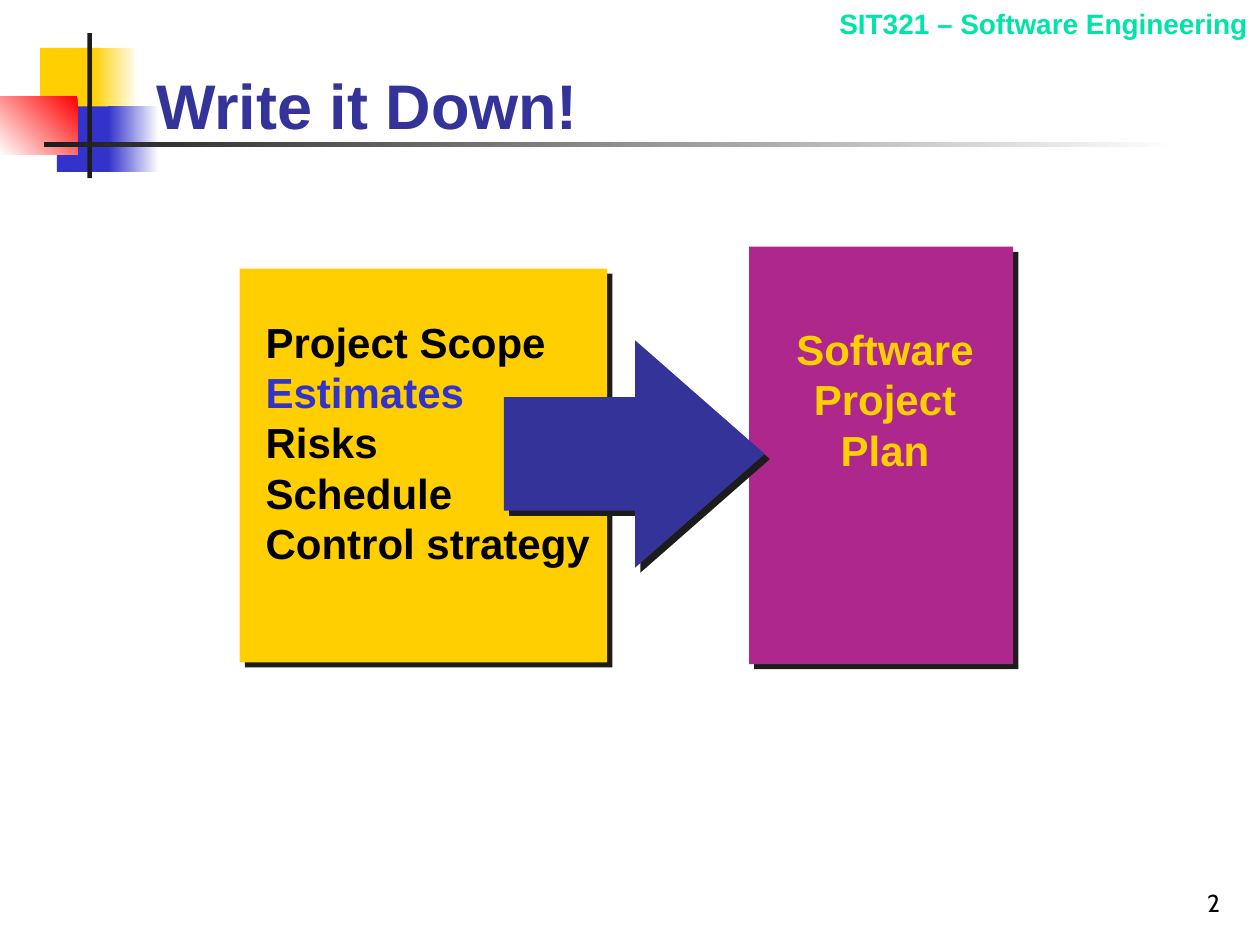
from dataclasses import dataclass

from lxml.etree import SubElement
from pptx import Presentation
from pptx.dml.color import RGBColor
from pptx.enum.shapes import MSO_SHAPE
from pptx.enum.text import MSO_ANCHOR, MSO_AUTO_SIZE, PP_ALIGN
from pptx.oxml.ns import qn
from pptx.util import Pt


@dataclass(frozen=True)
class Theme:
    gold: str = "FFCF01"
    blue: str = "3333CC"
    navy: str = "333399"
    red: str = "FF0000"
    plum: str = "AD278D"
    mint: str = "00E4A8"
    ink: str = "1C1C1C"
    black: str = "000000"
    white: str = "FFFFFF"
    font: str = "Arial"
    digit: str = "Cabin"
    title: int = 36
    body: int = 24
    head: int = 16
    foot: int = 14


class Deck:
    def __init__(self, theme, slide):
        self.theme = theme
        self.slide = slide

    def shape(self, box, fill, kind=MSO_SHAPE.RECTANGLE, drop=False):
        item = self.slide.shapes.add_shape(kind, *map(Pt, box))
        item.shadow.inherit = False
        item.line.fill.background()
        item.fill.solid()
        item.fill.fore_color.rgb = RGBColor.from_string(fill)
        if drop:
            self.drop(item)
        return item

    def fade(self, box, start, end, angle=180):
        """Add a rectangle that blends two colours; angle is anticlockwise."""
        item = self.shape(box, start)
        item.fill.gradient()
        item.fill.gradient_angle = angle
        for stop, color in zip(item.fill.gradient_stops, (start, end)):
            stop.color.rgb = RGBColor.from_string(color)

    def drop(self, item):
        """Give a shape a hard shadow, down and to the right."""
        effects = item._element.spPr.find(qn("a:effectLst"))
        shade = SubElement(effects, qn("a:outerShdw"), blurRad="0",
                           dist=str(Pt(4.2)), dir="2700000", algn="ctr",
                           rotWithShape="0")
        SubElement(shade, qn("a:srgbClr"), val=self.theme.ink)

    def label(self, item, lines, size, align=PP_ALIGN.LEFT, wrap=True,
              anchor=MSO_ANCHOR.TOP, bold=True, font=None):
        """Fill a text frame with lines given as (text, colour) pairs."""
        frame = item.text_frame
        form = {"word_wrap": wrap, "auto_size": MSO_AUTO_SIZE.NONE,
                "vertical_anchor": anchor}
        for name, value in form.items():
            setattr(frame, name, value)
        frame.text = "\n".join(text for text, _ in lines)
        style = {"size": Pt(size), "bold": bold,
                 "name": font or self.theme.font}
        for para, (_, color) in zip(frame.paragraphs, lines):
            para.alignment = align
            run = para.runs[0]
            for name, value in style.items():
                setattr(run.font, name, value)
            run.font.color.rgb = RGBColor.from_string(color)

    def text(self, box, lines, size, **form):
        item = self.slide.shapes.add_textbox(*map(Pt, box))
        self.label(item, lines, size, **form)

    def title(self, box, words):
        item = self.slide.shapes.title
        places = zip(("left", "top", "width", "height"), box)
        for name, value in places:
            setattr(item, name, Pt(value))
        self.label(item, [(words, self.theme.navy)], self.theme.title,
                   anchor=MSO_ANCHOR.BOTTOM)
        # Bring the title in front of the corner squares
        self.slide.shapes._spTree.append(item._element)


def main():
    show = Presentation()
    show.slide_width, show.slide_height = Pt(720), Pt(540)
    look = Theme()
    deck = Deck(look, show.slides.add_slide(show.slide_layouts[5]))

    # Corner squares and rules
    deck.shape((22.9, 27.4, 34.6, 37.4), look.gold)
    deck.fade((53, 27.4, 25.9, 37.4), look.white, look.gold)
    deck.shape((32.6, 60.8, 33.1, 37.4), look.blue)
    deck.fade((62, 60.8, 28.7, 37.4), look.white, look.blue)
    deck.fade((0, 55.1, 44.2, 33.4), look.red, look.white, 225)
    deck.shape((50, 19, 2.5, 82.8), look.ink)
    deck.fade((25.2, 81.4, 648, 2.9), look.white, look.ink)

    deck.text((470, 0, 250, 26.6),
              [("SIT321 – Software Engineering", look.mint)],
              look.head, align=PP_ALIGN.RIGHT)
    deck.title((82, 36, 294.5, 49), "Write it Down!")

    # Plan
    deck.shape((428, 141, 151, 238.5), look.plum, drop=True)
    plan = [(word, look.gold) for word in ("Software", "Project", "Plan")]
    deck.text((447.8, 181.4, 116, 93.6), plan, look.body,
              align=PP_ALIGN.CENTER, wrap=False)

    # Inputs to the plan
    deck.shape((137, 153.5, 210, 225), look.gold, drop=True)
    inputs = [("Project Scope", look.black), ("Estimates", look.blue),
              ("Risks", look.black), ("Schedule", look.black),
              ("Control strategy", look.black)]
    deck.text((144.7, 177.1, 199.4, 151.2), inputs, look.body, wrap=False)

    arrow = deck.shape((288, 194.5, 149, 129.8), look.navy,
                       MSO_SHAPE.RIGHT_ARROW, drop=True)
    arrow.adjustments[1] = 0.57

    deck.text((554.4, 491.8, 149.8, 36), [("2", look.black)], look.foot,
              align=PP_ALIGN.RIGHT, anchor=MSO_ANCHOR.BOTTOM, bold=False,
              font=look.digit)
    show.save("out.pptx")


if __name__ == "__main__":
    main()
